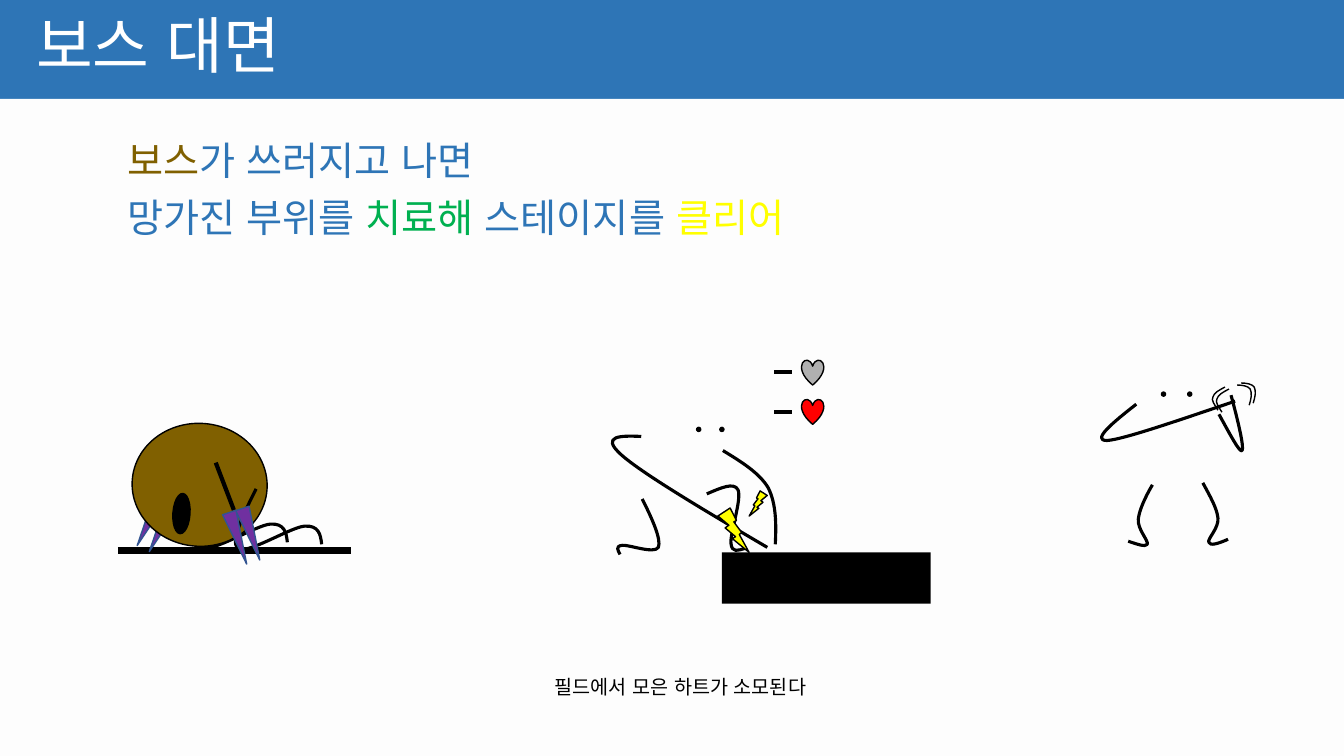
"""Builds the slide about facing the boss and healing it to clear the stage."""
from lxml import etree
from pptx import Presentation
from pptx import util as u
from pptx.dml.color import RGBColor
from pptx.enum import shapes, text
from pptx.oxml.ns import qn

PX = 9144
FONT = "Noto Sans CJK KR"
BLACK, WHITE, BLUE, BROWN = "000000", "FFFFFF", "2E75B6", "806000"
PURPLE, NAVY, YELLOW, RED, GREEN = "7030A0", "325491", "FFFF00", "FF0000", "00B050"
KIND = shapes.MSO_SHAPE
rgb = RGBColor.from_string


def draw_shape(parent, kind, box, fill, outline=BLACK, rotation=0):
    shape = parent.shapes.add_shape(kind, *(n * PX for n in box))
    shape.shadow.inherit = False
    shape.rotation = rotation
    shape.fill.solid()
    shape.fill.fore_color.rgb = rgb(fill)
    if outline:
        shape.line.color.rgb = rgb(outline)
        shape.line.width = u.Pt(1)
    else:
        shape.line.fill.background()
    return shape


def draw_stroke(parent, width, *points):
    """Two points make a straight line; more are a start and Bézier triples."""
    points = [(x * PX, y * PX) for x, y in points]
    if len(points) == 2:
        stroke = parent.shapes.add_connector(
            shapes.MSO_CONNECTOR.STRAIGHT, *points[0], *points[1])
    else:
        builder = parent.shapes.build_freeform(*points[0])
        builder.add_line_segments(points[1:], close=False)
        stroke = builder.convert_to_shape()
        stroke.fill.background()
        extents = []
        for axis in (0, 1):
            traced = []
            for i in range(0, len(points) - 1, 3):
                a, b, c, d = (p[axis] for p in points[i:i + 4])
                for t in (step / 50 for step in range(51)):
                    s = 1 - t
                    traced.append(a * s**3 + 3 * b * s * s * t + 3 * c * s * t * t + d * t**3)
            extents.append((round(min(traced)), round(max(traced) - min(traced))))
        (stroke.left, stroke.width), (stroke.top, stroke.height) = extents
        outline = next(stroke.element.iter(qn("a:path")))
        outline.set("w", str(stroke.width))
        outline.set("h", str(stroke.height))
        for pt, (x, y) in zip(list(outline.iter(qn("a:pt"))), points):
            pt.set("x", str(x - stroke.left))
            pt.set("y", str(y - stroke.top))
        for i, segment in enumerate(outline.findall(qn("a:lnTo"))):
            if i % 3 == 0:
                curve = etree.SubElement(outline, qn("a:cubicBezTo"))
            curve.append(segment[0])
            outline.remove(segment)
    stroke.line.color.rgb = rgb(BLACK)
    stroke.line.width = u.Pt(width)
    etree.SubElement(stroke.element.spPr, qn("a:effectLst"))


deck = Presentation()
deck.slide_width, deck.slide_height = 1333 * PX, 750 * PX
slide = deck.slides.add_slide(deck.slide_layouts[6])
slide.background.fill.solid()
slide.background.fill.fore_color.rgb = rgb(BLUE)
draw_shape(slide, KIND.RECTANGLE, (0, 98, 1333, 652), "FDFDFD", None)

title = [[("보스 대면", WHITE)]]
explanation = [
    [("보스", BROWN), ("가 쓰러지고 나면", BLUE)],
    [("망가진 부위를 ", BLUE), ("치료해", GREEN), (" 스테이지를 ", BLUE), ("클리어", YELLOW)],
]
caption = [[("필드에서 모은 하트가 소모된다", BLACK)]]
for box, size, anchor, align, lines in (
    ((26, 0, 1150, 97), 44, text.MSO_ANCHOR.MIDDLE, text.PP_ALIGN.LEFT, title),
    ((117, 136, 1102, 151), 28, text.MSO_ANCHOR.TOP, text.PP_ALIGN.LEFT, explanation),
    ((459, 667, 432, 39), 14, text.MSO_ANCHOR.TOP, text.PP_ALIGN.CENTER, caption),
):
    frame = slide.shapes.add_textbox(*(n * PX for n in box)).text_frame
    frame.word_wrap = True
    frame.vertical_anchor = anchor
    for number, pieces in enumerate(lines):
        paragraph = frame.add_paragraph() if number else frame.paragraphs[0]
        paragraph.alignment = align
        paragraph.line_spacing = 0.9
        if number:
            paragraph.space_before = u.Pt(10)
        for words, color in pieces:
            run = paragraph.add_run()
            run.text = words
            run.font.size = u.Pt(size)
            run.font.name = FONT
            run.font.color.rgb = rgb(color)
            properties = run.font._element
            properties.set("lang", "ko-KR")
            properties.set("kern", "0")
            etree.SubElement(properties, qn("a:ea")).set("typeface", FONT)

boss = slide.shapes.add_group_shape()
boss_leg = ((220, 483), (207, 509), (194, 536), (202, 542), (210, 549), (254, 521),
            (268, 520), (282, 519), (284, 528), (285, 538))
draw_stroke(boss, 2.25, *boss_leg)
draw_stroke(boss, 4.5, (117, 546), (348, 546))
draw_stroke(boss, 3, (187, 449), (168, 498))
for left, top in ((153, 496), (141, 490)):
    draw_shape(boss, KIND.ISOSCELES_TRIANGLE, (left, top, 14, 54), PURPLE, NAVY, 206.2)
draw_shape(boss, KIND.OVAL, (137, 414, 122, 134), BROWN, rotation=273.9)
draw_shape(boss, KIND.OVAL, (160, 501, 40, 17), BLACK, rotation=273.9)
draw_stroke(boss, 2.25, *((x + 34, y + 2) for x, y in boss_leg))
draw_stroke(boss, 3, (214, 459), (232, 506))
for left, top in ((242, 503), (229, 507)):
    draw_shape(boss, KIND.ISOSCELES_TRIANGLE, (left, top, 14, 54), PURPLE, NAVY, 161.4)

healer = slide.shapes.add_group_shape()
for left in (691, 714):
    draw_shape(healer, KIND.OVAL, (left, 424, 4, 4), BLACK)
for limb in (
    ((637, 495), (647, 515), (656, 535), (653, 543), (649, 550), (623, 540), (617, 541),
     (610, 542), (613, 546), (615, 550)),
    ((701, 490), (715, 484), (728, 478), (732, 486), (736, 495), (724, 529), (725, 539),
     (726, 549), (732, 546), (739, 544)),
    ((636, 433), (616, 432), (595, 432), (616, 451), (636, 469), (698, 506), (761, 543)),
    ((717, 447), (735, 458), (753, 469), (762, 484), (770, 500), (770, 520), (769, 540)),
):
    draw_stroke(healer, 2.25, *limb)
draw_shape(healer, KIND.LIGHTNING_BOLT, (712, 504, 31, 44), YELLOW)
small_spark = draw_shape(healer, KIND.LIGHTNING_BOLT, (743, 487, 18, 25), YELLOW)
small_spark.element.spPr.find(qn("a:xfrm")).set("flipH", "1")
draw_shape(slide, KIND.RECTANGLE, (716, 548, 207, 51), BLACK, None)

winner = slide.shapes.add_group_shape()
for left in (1152, 1178):
    draw_shape(winner, KIND.OVAL, (left, 389, 4, 4), BLACK)
for limb in (
    ((1127, 401), (1104, 419), (1082, 437), (1098, 437), (1114, 436), (1169, 417), (1225, 398)),
    ((1209, 411), (1220, 431), (1230, 450), (1232, 447), (1234, 443), (1228, 418), (1221, 392)),
    ((1143, 481), (1136, 493), (1130, 506), (1129, 515), (1128, 525), (1139, 536),
     (1138, 540), (1136, 543), (1128, 540), (1119, 537)),
    ((1193, 479), (1200, 492), (1207, 504), (1208, 514), (1209, 524), (1197, 535),
     (1199, 538), (1200, 542), (1209, 539), (1218, 535)),
):
    draw_stroke(winner, 2.25, *limb)
right_wave = ((1227, 382), (1232, 382), (1238, 383), (1240, 386), (1242, 390), (1241, 396),
              (1239, 402))
left_wave = ((1212, 409), (1209, 404), (1205, 399), (1207, 396), (1208, 392), (1213, 389),
             (1219, 386))
for wave, dx in ((right_wave, 4), (left_wave, -4)):
    for shift_x, shift_y in ((0, 0), (dx, -2)):
        draw_stroke(winner, 1, *((x + shift_x, y + shift_y) for x, y in wave))

for top, minus_y, color, opacity in ((396, 409, RED, 100), (357, 369, BLACK, 30)):
    cost = slide.shapes.add_group_shape()
    heart = draw_shape(cost, KIND.HEART, (795, top, 22, 25), color)
    if opacity < 100:
        tint = heart.element.spPr.find(qn("a:solidFill")).find(qn("a:srgbClr"))
        etree.SubElement(tint, qn("a:alpha")).set("val", str(opacity * 1000))
    draw_stroke(cost, 3, (768, minus_y), (786, minus_y))

deck.save("out.pptx")
